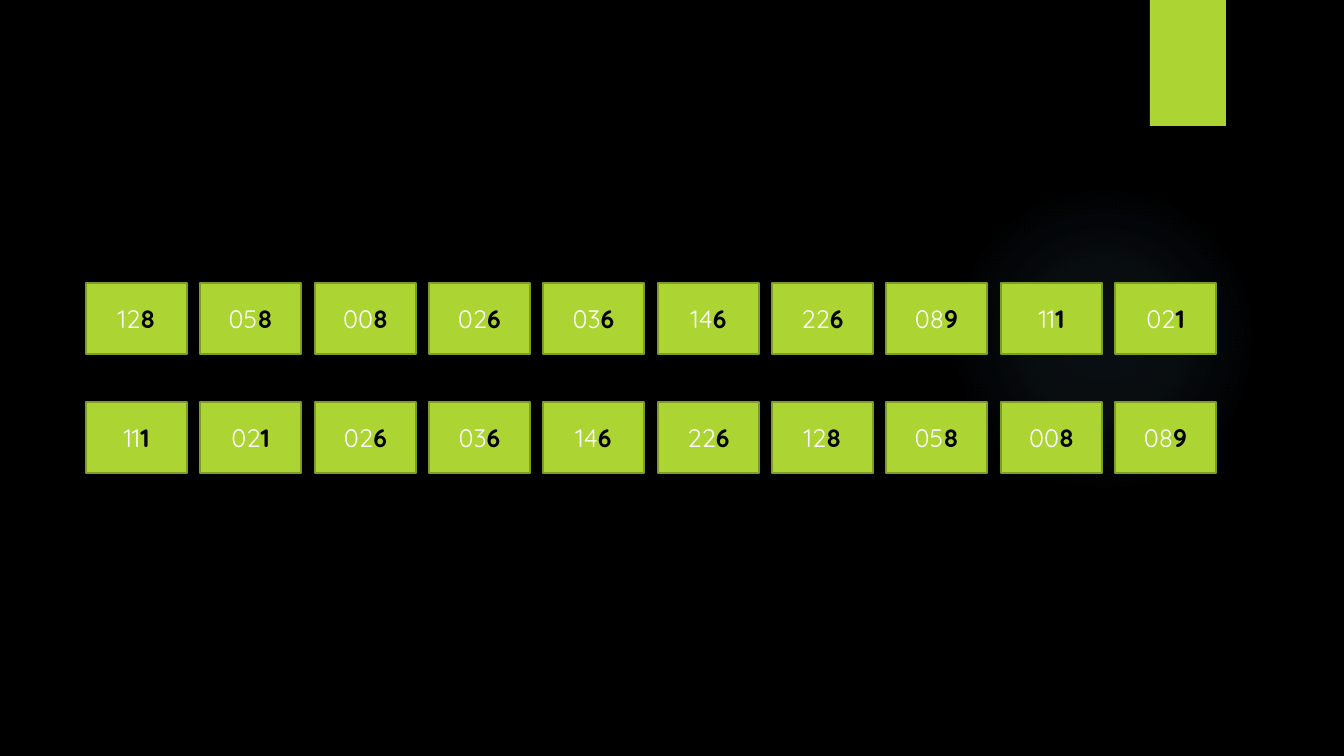
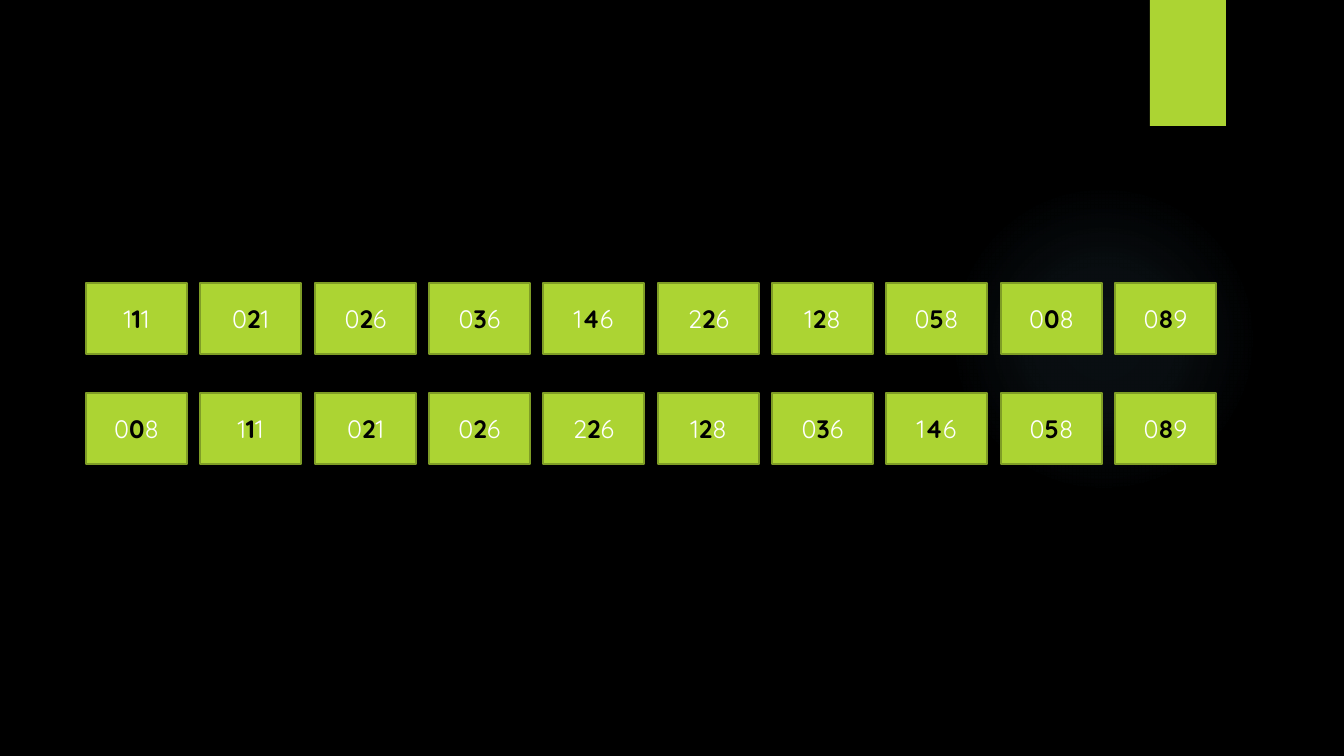
from lxml.etree import fromstring
from pptx import Presentation
from pptx.dml.color import RGBColor
from pptx.enum.shapes import MSO_SHAPE
from pptx.enum.text import MSO_ANCHOR, PP_ALIGN
from pptx.oxml.ns import qn
from pptx.util import Pt

SLIDE_WIDTH, SLIDE_HEIGHT = 1344, 756
EMU_PER_PX = 12192000 / SLIDE_WIDTH
BLACK, WHITE, LIME, DARK_LIME = "000000", "FFFFFF", "ACD433", "7F9D26"
DRAWING = 'xmlns:a="http://schemas.openxmlformats.org/drawingml/2006/main"'

FIRST_LEFT, LAST_LEFT = 86, 1115
BOX_WIDTH, BOX_HEIGHT = 101, 71

# Each slide: index of the highlighted digit, then the top and numbers of each row
SLIDES = [
    (2, [(283, "128 058 008 026 036 146 226 089 111 021"),
         (402, "111 021 026 036 146 226 128 058 008 089")]),
    (1, [(283, "111 021 026 036 146 226 128 058 008 089"),
         (393, "008 111 021 026 226 128 036 146 058 089")]),
]


def color(hex_string):
    return RGBColor.from_string(hex_string)


def add_block(page, preset, *bounds):
    """Add a flat lime shape without outline; bounds are left, top, width, height in px."""
    block = page.shapes.add_shape(preset, *(round(px * EMU_PER_PX) for px in bounds))
    block.shadow.inherit = False
    block.fill.solid()
    block.fill.fore_color.rgb = color(LIME)
    block.line.fill.background()
    return block


deck = Presentation()
deck.slide_width = round(SLIDE_WIDTH * EMU_PER_PX)
deck.slide_height = round(SLIDE_HEIGHT * EMU_PER_PX)
layout = deck.slide_layouts[6]
pages = [deck.slides.add_slide(layout) for _ in SLIDES]

# Shared backdrop, drawn on a page and then moved to the layout
for placeholder in list(layout.placeholders):
    layout.shapes.element.remove(placeholder.element)
layout.background.fill.solid()
layout.background.fill.fore_color.rgb = color(BLACK)

glow = add_block(pages[0], MSO_SHAPE.OVAL, 949, 184, 310, 310)
stops = "".join(
    f'<a:gs pos="{position}000"><a:srgbClr val="7AC4F0"><a:alpha val="{alpha}000"/></a:srgbClr></a:gs>'
    for position, alpha in [(0, 7), (36, 6), (69, 0)])
gradient = fromstring(
    f'<a:gradFill {DRAWING}><a:gsLst>{stops}</a:gsLst><a:path path="circle">'
    '<a:fillToRect l="50000" t="50000" r="50000" b="50000"/></a:path></a:gradFill>')
glow_properties = glow.element.spPr
glow_properties.replace(glow_properties.find(qn("a:solidFill")), gradient)

tab = add_block(pages[0], MSO_SHAPE.RECTANGLE, 1150, 0, 76, 126)
tab.element.spPr.find(qn("a:effectLst")).append(fromstring(
    f'<a:outerShdw {DRAWING} blurRad="38100" dist="25400" dir="5400000" rotWithShape="0">'
    '<a:srgbClr val="000000"><a:alpha val="45000"/></a:srgbClr></a:outerShdw>'))

for shape in (glow, tab):
    layout.shapes.element.append(shape.element)

# Number boxes, one digit position highlighted per slide
for page, (marked, rows) in zip(pages, SLIDES):
    for top, row in rows:
        numbers = row.split()
        step = (LAST_LEFT - FIRST_LEFT) / (len(numbers) - 1)
        for column, number in enumerate(numbers):
            left = round(FIRST_LEFT + column * step)
            box = add_block(page, MSO_SHAPE.RECTANGLE, left, top, BOX_WIDTH, BOX_HEIGHT)
            box.line.color.rgb = color(DARK_LIME)
            box.line.width = Pt(1.5)
            box.text_frame.vertical_anchor = MSO_ANCHOR.MIDDLE
            para = box.text_frame.paragraphs[0]
            para.alignment = PP_ALIGN.CENTER
            para.font.name = "Quicksand"
            para.font.size = Pt(18)
            parts = [(number[:marked], False), (number[marked], True), (number[marked + 1:], False)]
            for text, highlighted in parts:
                if text:
                    span = para.add_run()
                    span.text = text
                    span.font.bold = highlighted
                    span.font.color.rgb = color(BLACK if highlighted else WHITE)

deck.save("out.pptx")
